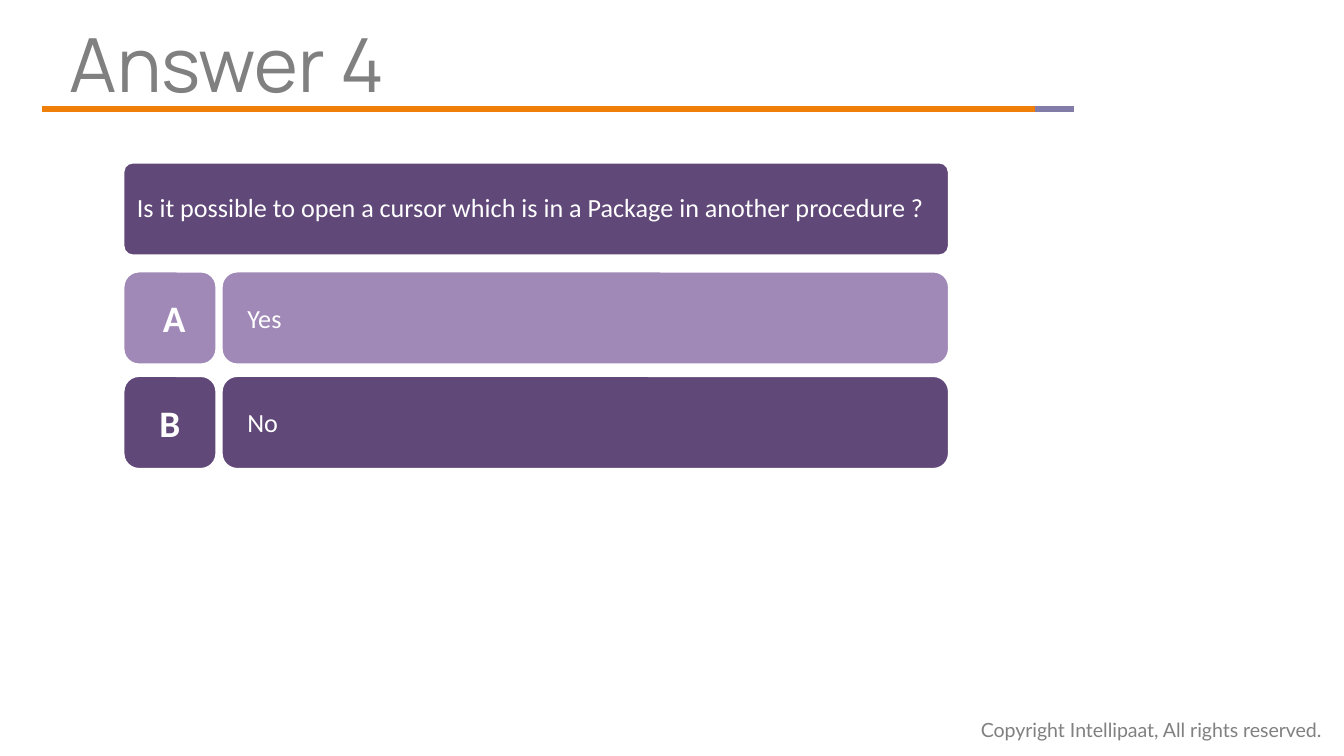
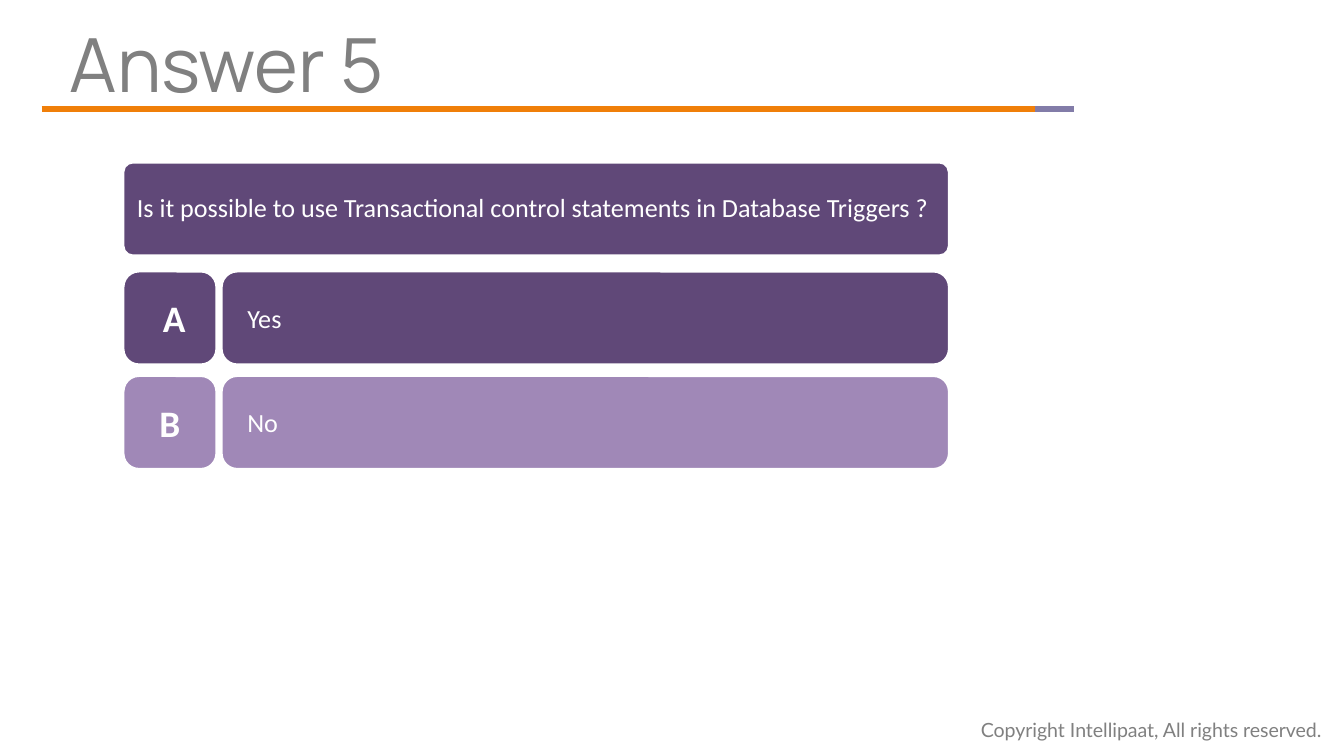
"""Build two quiz answer slides, each with the correct choice highlighted."""
from lxml import etree
from pptx import Presentation
from pptx.dml.color import RGBColor
from pptx.enum.shapes import MSO_CONNECTOR, MSO_SHAPE
from pptx.enum.text import MSO_ANCHOR as Anchor, MSO_AUTO_SIZE as AutoSize, PP_ALIGN as Align
from pptx.oxml.ns import qn
from pptx.util import Pt

WHITE = RGBColor(0xFF, 0xFF, 0xFF)
GRAY = RGBColor(0x80, 0x80, 0x80)
ORANGE = RGBColor(0xF0, 0x7F, 0x09)
LAVENDER = RGBColor(0x82, 0x7C, 0xA8)
PURPLE = RGBColor(0x60, 0x48, 0x78)
HIGHLIGHT = RGBColor(0xA0, 0x88, 0xB7)

CARD_LEFT, CARD_RIGHT = 66.2, 508.3
CARD_HEIGHT = 49.7
QUESTION_TOP = 87.1
CHOICE_TOP, CHOICE_PITCH = 145.5, 56
CHOICE_LEFT = 118.8

RULES = [(22.3, 554.4, ORANGE), (554.4, 575.3, LAVENDER)]
CHOICES = [("A", "Yes", 11.7), ("B", "No", 7.2)]
QUIZ = [
    ("Answer 4", "Is it possible to open a cursor which is in a Package in another procedure ?", "A"),
    ("Answer 5", "Is it possible to use Transactional control statements in Database Triggers ?", "B"),
]


def write(shape, text, font_name, size, color, bold=False):
    """Set one styled paragraph and return it."""
    paragraph = shape.text_frame.paragraphs[0]
    paragraph.text = text
    font = paragraph.runs[0].font
    font.name, font.size, font.bold = font_name, Pt(size), bold
    font.color.rgb = color
    return paragraph


def add_card(slide, left, top, right, corner, fill, margin_left, margin_right):
    """Add a rounded card with a white outline."""
    card = slide.shapes.add_shape(
        MSO_SHAPE.ROUNDED_RECTANGLE, Pt(left), Pt(top), Pt(right - left), Pt(CARD_HEIGHT))
    card.adjustments[0] = corner
    card.shadow.inherit = False
    card.fill.solid()
    card.fill.fore_color.rgb = fill
    card.line.color.rgb = WHITE
    card.line.width = Pt(1)
    frame = card.text_frame
    frame.word_wrap = True
    frame.vertical_anchor = Anchor.MIDDLE
    frame.margin_left, frame.margin_right = Pt(margin_left), Pt(margin_right)
    return card


presentation = Presentation()
presentation.slide_width, presentation.slide_height = Pt(720), Pt(405)

for title, question, correct in QUIZ:
    slide = presentation.slides.add_slide(presentation.slide_layouts[6])

    footer = slide.shapes.add_textbox(Pt(518.4), Pt(380.9), Pt(203.8), Pt(20.2))
    footer.text_frame.word_wrap = False
    footer.text_frame.auto_size = AutoSize.SHAPE_TO_FIT_TEXT
    write(footer, "Copyright Intellipaat, All rights reserved.", "Lato", 10.5, GRAY)

    for start, end, color in RULES:
        rule = slide.shapes.add_connector(
            MSO_CONNECTOR.STRAIGHT, Pt(start), Pt(58.3), Pt(end), Pt(58.3))
        rule.line.color.rgb = color
        rule.line.width = Pt(3)
        etree.SubElement(rule._element.spPr, qn("a:effectLst"))

    heading = slide.shapes.add_textbox(Pt(37.4), Pt(11.5), Pt(511.2), Pt(45.4))
    heading.text_frame.word_wrap = True
    heading.text_frame.margin_left = Pt(0)
    write(heading, title, "Manrope", 40, GRAY).line_spacing = 0.9

    card = add_card(slide, CARD_LEFT, QUESTION_TOP, CARD_RIGHT, 0.1, PURPLE, 5.7, 5.7)
    paragraph = write(card, question, "Calibri", 14, WHITE)
    paragraph.alignment = Align.LEFT
    paragraph.line_spacing = 0.9

    for row, (letter, answer, letter_margin) in enumerate(CHOICES):
        top = CHOICE_TOP + row * CHOICE_PITCH
        fill = HIGHLIGHT if letter == correct else PURPLE
        badge = add_card(slide, CARD_LEFT, top, CARD_LEFT + CARD_HEIGHT, 0.167, fill, letter_margin, 7.2)
        write(badge, letter, "Calibri", 20, WHITE, bold=True).alignment = Align.CENTER
        card = add_card(slide, CHOICE_LEFT, top, CARD_RIGHT, 0.167, fill, 11.3, 11.3)
        write(card, answer, "Calibri", 14, WHITE).alignment = Align.LEFT

presentation.save("out.pptx")
